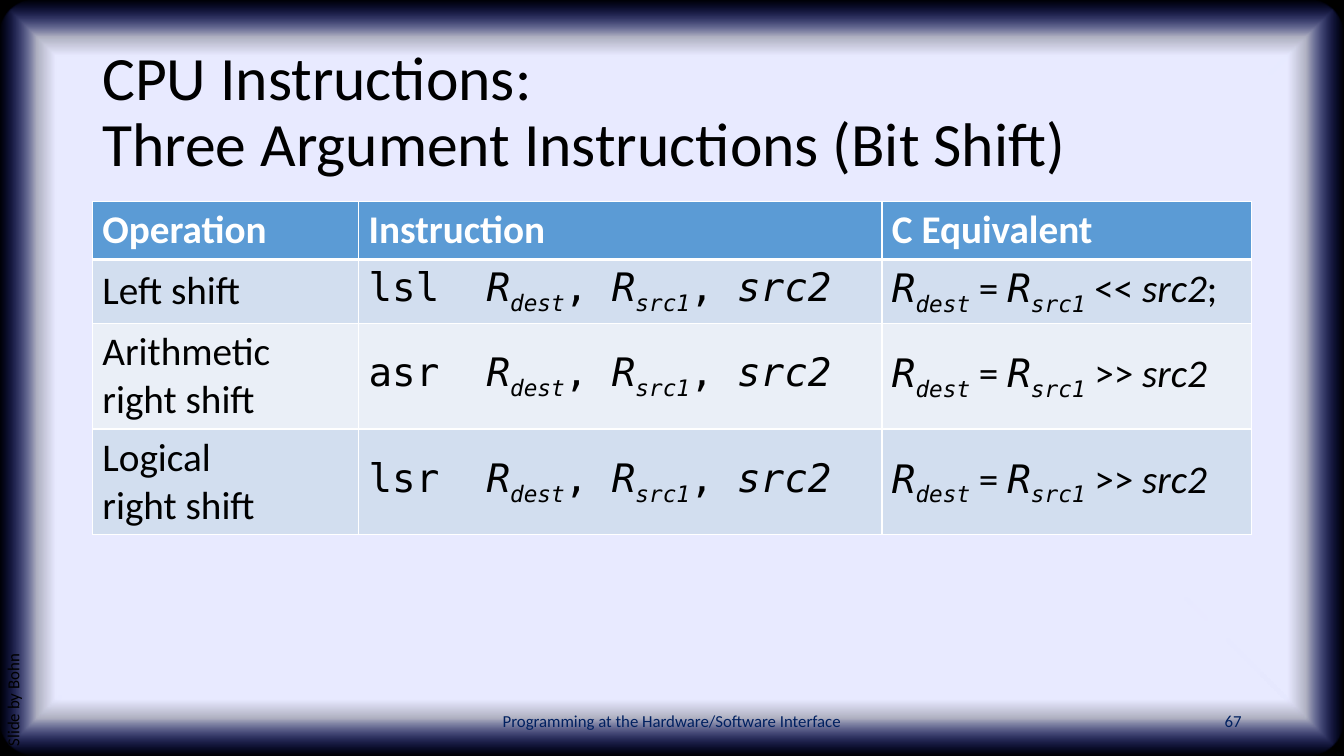
from lxml import etree
from pptx import Presentation
from pptx.dml.color import RGBColor
from pptx.enum.shapes import MSO_SHAPE as SHAPE
from pptx.enum.text import MSO_ANCHOR as ANCHOR, PP_ALIGN as ALIGN
from pptx.oxml import parse_xml
from pptx.oxml.ns import nsdecls, qn
from pptx.util import Emu, Inches, Pt

W, H = Inches(13.3333), Inches(7.5)
COLS, ROWS = 160, 150
SANS, MONO = "Calibri", "DejaVu Sans Mono"
COLORS = {
    "black": "000000", "white": "FFFFFF", "navy": "002060",
    "header": "5B9BD5", "band_dark": "D2DEEF", "band_light": "EAEFF7",
    "glow": "E8EAFF", "glow_edge": "162AFF",
}


def col(n):
    return Emu(round(W * n / COLS))


def row(n):
    return Emu(round(H * n / ROWS))


def box(left, top, width, height):
    return col(left), row(top), col(width), row(height)


def rgb(name):
    return RGBColor.from_string(COLORS[name])


def add_text(p, text, size=28, font=SANS, color="black", bold=False,
             italic=False, sub=False):
    for i, line in enumerate(text.split("\n")):
        if i:
            p.add_line_break()
        r = p.add_run()
        r.text = line
        f = r.font
        f.size, f.name, f.bold, f.italic = Pt(size), font, bold, italic
        f.color.rgb = rgb(color)
        if sub:
            r._r.get_or_add_rPr().set("baseline", "-25000")


def add_label(s, place, text, anchor=ANCHOR.MIDDLE, align=ALIGN.LEFT,
              spacing=1.0, rotation=0, **fmt):
    tb = s.shapes.add_textbox(*place)
    tb.rotation = rotation
    tf = tb.text_frame
    tf.word_wrap = True
    tf.vertical_anchor = anchor
    p = tf.paragraphs[0]
    p.alignment, p.line_spacing = align, spacing
    add_text(p, text, **fmt)


def add_panel(s, kind):
    sp = s.shapes.add_shape(kind, 0, 0, W, H)
    sp.shadow.inherit = False
    sp.line.fill.background()
    sp.fill.solid()
    sp.fill.fore_color.rgb = rgb("black")
    return sp


def set_glow(sp, stops):
    """Fill a shape from its centre outwards with (percent, colour, opacity)."""
    gs = "".join(
        f'<a:gs pos="{pos * 1000}"><a:srgbClr val="{COLORS[name]}">'
        f'<a:alpha val="{alpha * 1000}"/></a:srgbClr></a:gs>'
        for pos, name, alpha in stops)
    grad = parse_xml(
        f'<a:gradFill {nsdecls("a")} rotWithShape="1"><a:gsLst>{gs}</a:gsLst>'
        '<a:path path="shape"><a:fillToRect l="50000" t="50000" r="50000" '
        'b="50000"/></a:path></a:gradFill>')
    solid = sp._element.spPr.find(qn("a:solidFill"))
    solid.getparent().replace(solid, grad)


def set_borders(cell, bottom):
    tcPr = cell._tc.get_or_add_tcPr()
    for side, width in zip("LRTB", (1, 1, 1, bottom)):
        ln = etree.SubElement(tcPr, qn(f"a:ln{side}"), w=str(Pt(width)))
        fill = etree.SubElement(ln, qn("a:solidFill"))
        etree.SubElement(fill, qn("a:srgbClr"), val=COLORS["white"])


def register(name):
    return [("R", dict(font=MONO, italic=True)),
            (name, dict(font=MONO, italic=True, sub=True))]


def instruction(mnemonic):
    comma = (", ", dict(font=MONO))
    return [(mnemonic + "  ", dict(font=MONO)), *register("dest"), comma,
            *register("src1"), comma, ("src2", dict(font=MONO, italic=True))]


def c_equivalent(operator, end=""):
    runs = [*register("dest"), (" = ", {}), *register("src1"),
            (f" {operator} ", {}), ("src2", dict(italic=True))]
    return runs + [(end, {})] if end else runs


def add_grid(s, place, widths, heights, rows):
    """Draw a table whose cells are lists of (text, format) runs."""
    table = s.shapes.add_table(len(rows), len(widths), *place).table
    for c, width in zip(table.columns, widths):
        c.width = col(width)
    for i, (height, cells) in enumerate(zip(heights, rows)):
        table.rows[i].height = row(height)
        band = ("band_dark" if i % 2 else "band_light") if i else "header"
        for j, runs in enumerate(cells):
            cell = table.cell(i, j)
            set_borders(cell, bottom=1 if i else 3)
            cell.fill.solid()
            cell.fill.fore_color.rgb = rgb(band)
            cell.vertical_anchor = ANCHOR.MIDDLE if i else ANCHOR.TOP
            for text, fmt in runs:
                add_text(cell.text_frame.paragraphs[0], text, **fmt)


def main():
    prs = Presentation()
    prs.slide_width, prs.slide_height = W, H
    s = prs.slides.add_slide(prs.slide_layouts[6])

    add_panel(s, SHAPE.RECTANGLE)
    glow = add_panel(s, SHAPE.ROUNDED_RECTANGLE)
    glow.adjustments[0] = 0.05
    set_glow(glow, [(85, "glow", 100), (90, "glow", 75), (100, "glow_edge", 0)])

    add_label(s, box(11, 8, 138, 29),
              "CPU Instructions:\nThree Argument Instructions (Bit Shift)",
              size=44, spacing=0.9)

    heading = dict(color="white", bold=True)
    shifts = [
        ("Left shift", "lsl", "<<", ";"),
        ("Arithmetic right shift", "asr", ">>", ""),
        ("Logical\nright shift", "lsr", ">>", ""),
    ]
    rows = [[[(t, heading)] for t in ("Operation", "Instruction", "C Equivalent")]]
    rows += [[[(name, {})], instruction(op), c_equivalent(sign, end)]
             for name, op, sign, end in shifts]
    add_grid(s, box(11, 40, 138, 66), (31.7, 62.3, 44), (11.5, 12, 21, 21), rows)

    footer = dict(size=12, color="navy")
    add_label(s, box(53, 139, 54, 8),
              "Programming at the Hardware/Software Interface",
              align=ALIGN.CENTER, **footer)
    add_label(s, box(113, 139, 36, 8), "67", align=ALIGN.RIGHT, **footer)
    add_label(s, box(-29.3, 93.2, 63.4, 8), "Slide by Bohn", anchor=ANCHOR.TOP,
              spacing=0.9, rotation=270, size=12)

    prs.save("out.pptx")


if __name__ == "__main__":
    main()
